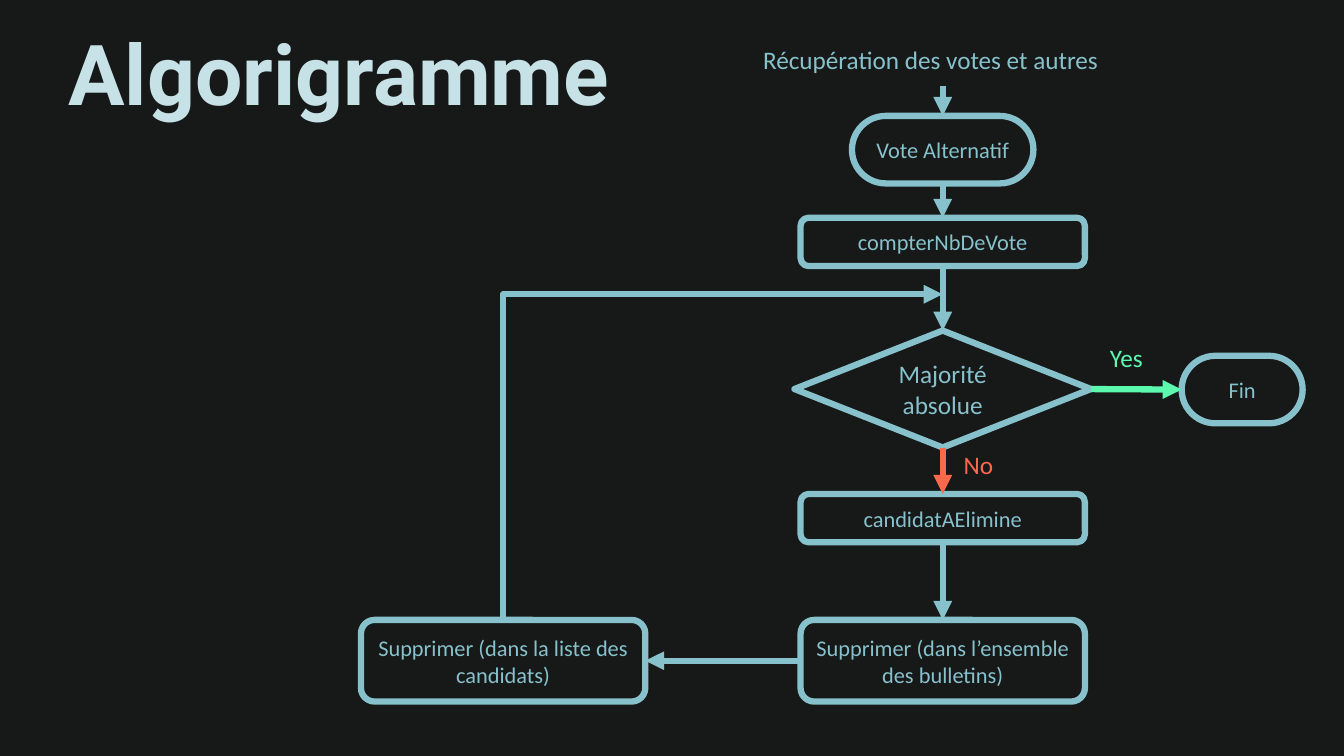
from dataclasses import dataclass

from lxml import etree
from pptx import Presentation
from pptx import util as u
from pptx.dml.color import RGBColor
from pptx.enum import shapes, text
from pptx.oxml.ns import qn


@dataclass(frozen=True)
class Theme:
    background: str = "171918"
    title: str = "C7E2E7"
    main: str = "87C1CC"
    yes: str = "5CF8AE"
    no: str = "F96A4D"
    title_font: str = "Roboto"
    body_font: str = "Calibri"
    title_size: int = 60
    label_size: int = 18
    step_size: int = 16
    line_width: float = 4.5


THEME = Theme()
TOP, LEFT, BOTTOM, RIGHT = range(4)  # connection sites of every step


def color(value):
    return RGBColor.from_string(value)


def add_run(paragraph, words, size, ink, font=THEME.body_font, bold=False):
    run = paragraph.add_run()
    run.text = words
    run.font.name = font
    run.font.size = u.Pt(size)
    run.font.bold = bold
    run.font.color.rgb = color(ink)


def add_label(slide, box, words, size, ink, **style):
    shape = slide.shapes.add_textbox(*(u.Inches(side) for side in box))
    shape.text_frame.word_wrap = True
    add_run(shape.text_frame.paragraphs[0], words, size, ink, **style)


def add_step(slide, kind, box, words, size=THEME.step_size, rounding=None):
    shape = slide.shapes.add_shape(kind, *(u.Inches(side) for side in box))
    shape.shadow.inherit = False
    shape.fill.background()
    shape.line.color.rgb = color(THEME.main)
    shape.line.width = u.Pt(THEME.line_width)
    if rounding is not None:
        shape.adjustments[0] = rounding
    frame = shape.text_frame
    frame.word_wrap = True
    frame.vertical_anchor = text.MSO_ANCHOR.MIDDLE
    paragraph = frame.paragraphs[0]
    paragraph.alignment = text.PP_ALIGN.CENTER
    add_run(paragraph, words, size, THEME.main)
    return shape


def add_arrow(slide, start, end, ink=THEME.main):
    connector = slide.shapes.add_connector(
        shapes.MSO_CONNECTOR.STRAIGHT, *(u.Inches(value) for value in (*start, *end)))
    connector.line.color.rgb = color(ink)
    connector.line.width = u.Pt(THEME.line_width)
    etree.SubElement(connector.line._get_or_add_ln(), qn("a:tailEnd"), type="triangle")
    etree.SubElement(connector._element.spPr, qn("a:effectLst"))
    return connector


def link(slide, source, source_site, target, target_site, ink=THEME.main):
    connector = add_arrow(slide, (0, 0), (0, 0), ink)
    connector.begin_connect(source, source_site)
    connector.end_connect(target, target_site)


def add_loop_arrow(slide, start, end):
    """Go straight up from start, then right to end."""
    center_x, center_y = (start[0] + end[0]) / 2, (start[1] + end[1]) / 2
    half_run, half_rise = (end[0] - start[0]) / 2, (start[1] - end[1]) / 2
    # The elbow is laid out on its side, then turned a quarter
    connector = add_arrow(slide, (center_x + half_rise, center_y + half_run),
                          (center_x - half_rise, center_y - half_run))
    properties = connector._element.spPr
    properties.find(qn("a:xfrm")).set("rot", str(90 * 60000))
    properties.find(qn("a:prstGeom")).set("prst", "bentConnector2")


def draw_title(slide, box):
    add_label(slide, box, "Algorigramme", THEME.title_size, THEME.title,
              font=THEME.title_font, bold=True)


def draw_flowchart(slide, left, top):
    axis = left + 5.77  # centre of the main column
    step_width, pill_height = 2.82, 0.67
    rounded = shapes.MSO_SHAPE.ROUNDED_RECTANGLE

    def step(center, offset, height, words, width=step_width, kind=rounded, **style):
        box = (center - width / 2, top + offset, width, height)
        return add_step(slide, kind, box, words, **style)

    # Steps
    vote = step(axis, 0.76, pill_height, "Vote Alternatif", width=1.8, rounding=0.5)
    count = step(axis, 1.77, 0.48, "compterNbDeVote")
    majority = step(axis, 2.89, 1.16, "Majorité absolue", width=2.94,
                    kind=shapes.MSO_SHAPE.FLOWCHART_DECISION, size=THEME.label_size)
    finish = step(left + 8.74, 3.14, pill_height, "Fin", width=1.2, rounding=0.5)
    candidate = step(axis, 4.51, 0.48, "candidatAElimine")
    ballots = step(axis, 5.76, 0.81, "Supprimer (dans l’ensemble des bulletins)")
    list_center = left + step_width / 2
    candidates = step(list_center, 5.76, 0.81, "Supprimer (dans la liste des candidats)")

    # Arrows
    add_arrow(slide, (axis, top + 0.46), (axis, top + 0.76))
    link(slide, vote, BOTTOM, count, TOP)
    link(slide, count, BOTTOM, majority, TOP)
    link(slide, majority, RIGHT, finish, LEFT, THEME.yes)
    link(slide, majority, BOTTOM, candidate, TOP, THEME.no)
    link(slide, candidate, BOTTOM, ballots, TOP)
    link(slide, ballots, LEFT, candidates, RIGHT)
    add_loop_arrow(slide, (list_center, top + 5.73), (axis, top + 2.53))

    # Labels
    for x, y, width, words, ink in (
        (3.89, 0, 3.75, "Récupération des votes et autres", THEME.main),
        (7.33, 2.96, 0.63, "Yes", THEME.yes),
        (5.88, 4.02, 0.63, "No", THEME.no),
    ):
        add_label(slide, (left + x, top + y, width, 0.4), words, THEME.label_size, ink)


presentation = Presentation()
presentation.slide_width = u.Inches(13.33)
presentation.slide_height = u.Inches(7.5)
slide = presentation.slides.add_slide(presentation.slide_layouts[6])
slide.background.fill.solid()
slide.background.fill.fore_color.rgb = color(THEME.background)
draw_title(slide, (0.58, 0.16, 6.51, 1.11))
draw_flowchart(slide, 3.58, 0.39)
presentation.save("out.pptx")
